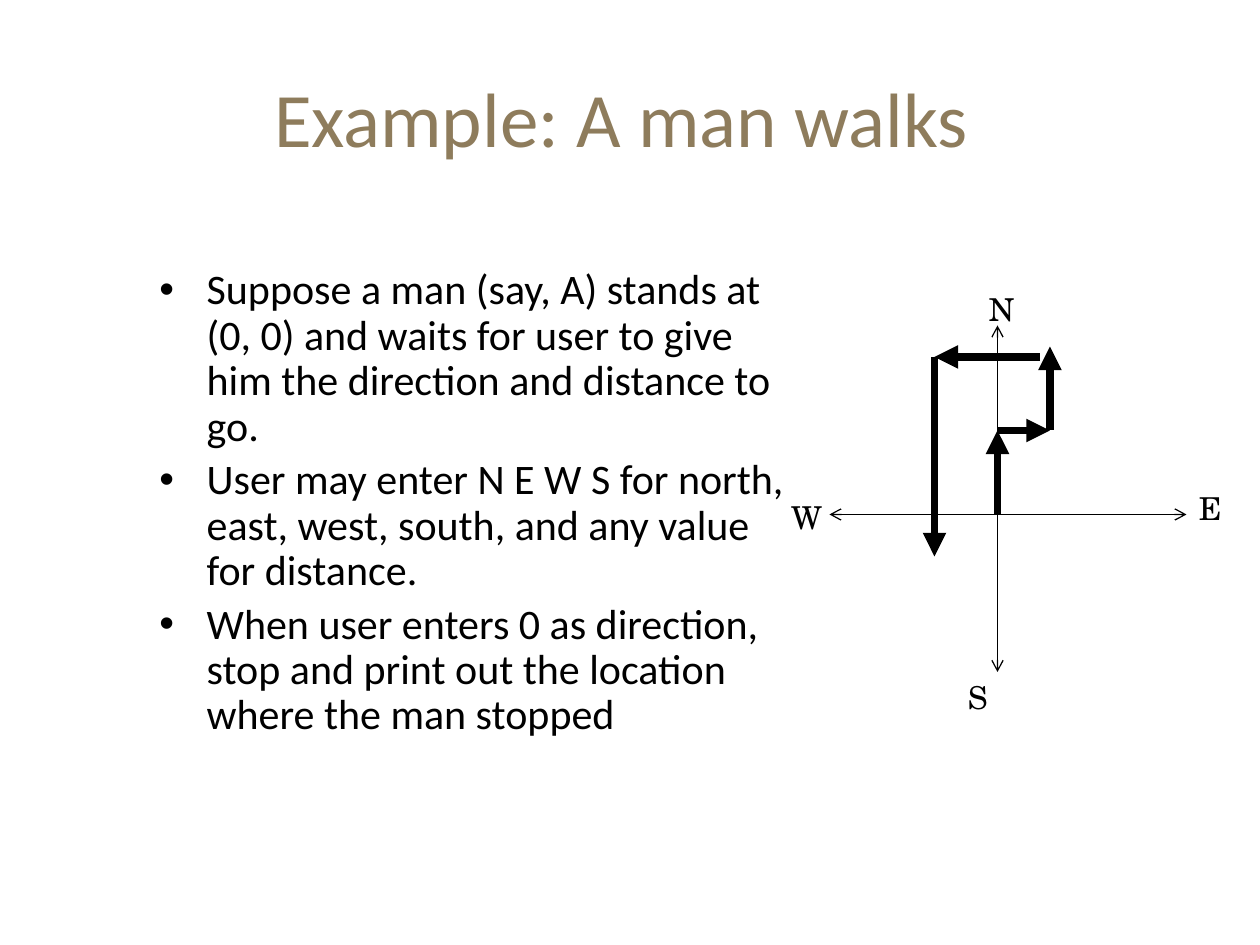
import pptx
import pptx.util
import pptx.dml.color
import pptx.enum.shapes
import pptx.enum.text
import pptx.oxml

Pt = pptx.util.Pt
ALIGN = pptx.enum.text.PP_ALIGN
ANCHOR = pptx.enum.text.MSO_ANCHOR


def color(code):
    return pptx.dml.color.RGBColor.from_string(code)


def add_tag(parent, tag, **attrs):
    node = parent.makeelement(pptx.oxml.ns.qn(tag), attrs)
    parent.append(node)
    return node


class Page:
    """Hold the style and the slide, and draw each kind of element."""

    ink = "000000"
    tan = "8E7C5C"
    sans = "Calibri"
    serif = "TeX Gyre Schola"

    def __init__(self, slide):
        self.slide = slide

    def text(self, box, lines, font, size, ink, anchor=ANCHOR.TOP, bullet=None, **form):
        shape = self.slide.shapes.add_textbox(*map(Pt, box))
        frame = shape.text_frame
        frame.word_wrap = True
        frame.vertical_anchor = anchor
        frame.text = "\n".join(lines)
        for para in frame.paragraphs:
            for name, value in form.items():
                setattr(para, name, value)
            for name, value in {"name": font, "size": Pt(size)}.items():
                setattr(para.font, name, value)
            para.runs[0].font.color.rgb = color(ink)
            para.runs[0].font.name = font
            if bullet:
                props = para._p.get_or_add_pPr()
                props.set("marL", str(Pt(27)))
                props.set("indent", str(-Pt(27)))
                mark = props.makeelement(pptx.oxml.ns.qn("a:buChar"), {"char": bullet})
                face = props.makeelement(pptx.oxml.ns.qn("a:buFont"), {"typeface": "Arial"})
                props.insert_element_before(face, "a:tabLst", "a:defRPr", "a:extLst")
                props.insert_element_before(mark, "a:tabLst", "a:defRPr", "a:extLst")

    def arrow(self, start, end, width, **heads):
        kind = pptx.enum.shapes.MSO_CONNECTOR.STRAIGHT
        line = self.slide.shapes.add_connector(kind, *map(Pt, start + end))
        line.line.width = Pt(width)
        line.line.color.rgb = color(self.ink)
        edge = line.line._get_or_add_ln()
        for side, head in heads.items():
            add_tag(edge, "a:" + side, type=head)
        add_tag(line._element.spPr, "a:effectLst")


deck = pptx.Presentation()
deck.slide_width, deck.slide_height = Pt(720), Pt(540)
page = Page(deck.slides.add_slide(deck.slide_layouts[6]))

page.text((36, 21.6, 648, 90), ["Example: A man walks "], page.sans, 44, page.tan,
          anchor=ANCHOR.MIDDLE, alignment=ALIGN.CENTER)
rules = [
    "Suppose a man (say, A) stands at (0, 0) and waits for user to give him "
    "the direction and distance to go. ",
    "User may enter N E W S for north, east, west, south, and any value for distance. ",
    "When user enters 0 as direction, stop and print out the location where the man stopped",
]
page.text((84, 150, 372, 360), rules, page.sans, 24, page.ink, bullet="\u2022",
          line_spacing=0.9, space_after=Pt(4.8))

for start, end in [((570, 186), (570, 384)), ((474, 294), (678, 294))]:
    page.arrow(start, end, 0.75, headEnd="arrow", tailEnd="arrow")

for name, left, top, width in [("N", 558, 162, 60), ("E", 678, 276, 42),
                               ("S", 546, 384, 60), ("W", 445, 281, 60)]:
    page.text((left, top, width, 29), [name], page.serif, 18, page.ink)

steps = [
    ((570, 294), (570, 246)),
    ((600, 246), (600, 198)),
    ((594, 204), (534, 204)),
    ((570, 246), (600, 246)),
    ((534, 204), (534, 318)),
]
for start, end in steps:
    page.arrow(start, end, 4.5, tailEnd="triangle")

deck.save("out.pptx")
